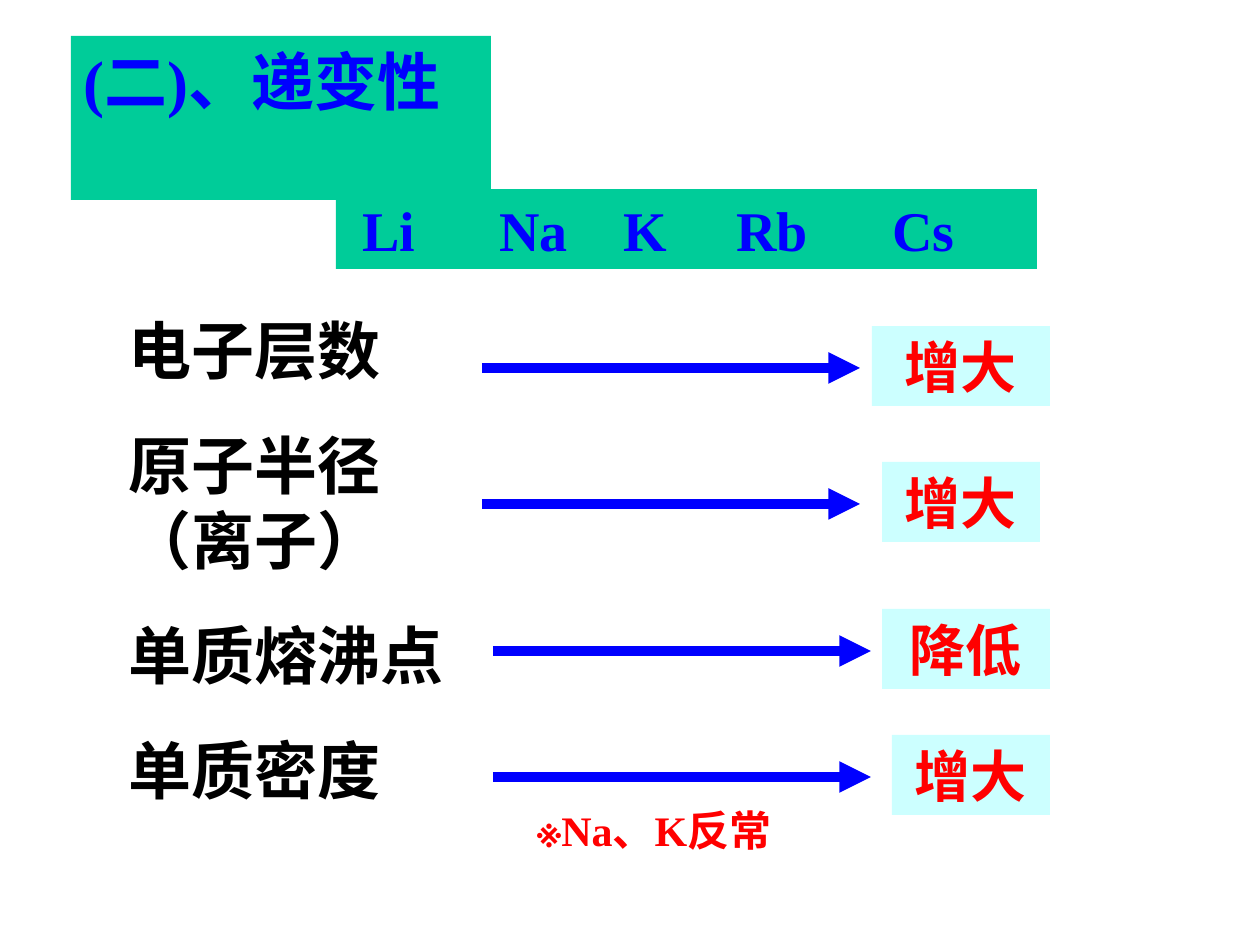
from lxml.etree import SubElement
from pptx import Presentation
from pptx.dml.color import RGBColor as RGB
from pptx.enum.shapes import MSO_CONNECTOR as LINE, MSO_SHAPE as SHAPE
from pptx.enum.text import MSO_ANCHOR as ANCHOR, PP_ALIGN as ALIGN
from pptx.oxml.ns import qn
from pptx.util import Pt

PX = 914400 // 126
FONT = "Times New Roman"
BLUE, RED, BLACK = RGB(0, 0, 255), RGB(255, 0, 0), RGB(0, 0, 0)
GREEN, CYAN, WHITE = RGB(0, 204, 153), RGB(204, 255, 255), RGB(255, 255, 255)

TITLE = "(二)、递变性"
METALS = [("Li", 14), ("Na", 151), ("K", 275), ("Rb", 388), ("Cs", 544)]  # tab stop
LABELS = ["电子层数", "原子半径（离子）", "单质熔沸点", "单质密度"]
NOTE = "※Na、K反常"
# trend, arrow left, arrow y, box left, box width
TRENDS = [
    ("增大", 482, 368, 872, 178),
    ("增大", 482, 504, 882, 158),
    ("降低", 493, 651, 882, 168),
    ("增大", 493, 777, 892, 158),
]
ARROW, TALL, RISE = 378, 80, 42  # arrow length, box height, box top above arrow


def add_box(slide, area, lines, size, color, fill=None, align=ALIGN.LEFT, gap=0, stops=()):
    """Add a text rectangle; gap is the space in points between paragraphs."""
    box = slide.shapes.add_shape(SHAPE.RECTANGLE, *(n * PX for n in area))
    box.shadow.inherit = False
    box.line.fill.background()
    if fill is None:
        box.fill.background()
    else:
        box.fill.solid()
        box.fill.fore_color.rgb = fill
    frame = box.text_frame
    frame.word_wrap = True
    frame.vertical_anchor = ANCHOR.TOP
    for i, text in enumerate(lines):
        para = frame.add_paragraph() if i else frame.paragraphs[0]
        para.text = text
        para.alignment = align
        if i:
            para.space_before = Pt(gap)
        if stops:
            tabs = SubElement(para._p.get_or_add_pPr(), qn("a:tabLst"))
            for stop in stops:
                SubElement(tabs, qn("a:tab"), pos=str(stop * PX), algn="l")
        font = para.font
        font.name, font.size, font.bold = FONT, Pt(size), True
        font.color.rgb = color


def add_arrow(slide, left, y):
    line = slide.shapes.add_connector(
        LINE.STRAIGHT, left * PX, y * PX, (left + ARROW) * PX, y * PX)
    line.line.color.rgb = BLUE
    line.line.width = Pt(6)
    SubElement(line.line._get_or_add_ln(), qn("a:tailEnd"), type="triangle")
    SubElement(line._element.spPr, qn("a:effectLst"))


def main():
    deck = Presentation()
    deck.slide_width, deck.slide_height = 1260 * PX, 945 * PX
    slide = deck.slides.add_slide(deck.slide_layouts[6])

    add_box(slide, (71, 36, 420, 164), [TITLE], 36, BLUE, GREEN)
    names, stops = zip(*METALS)
    row = "".join("\t" + name for name in names)
    add_box(slide, (336, 189, 701, TALL), [row], 32, BLUE, GREEN, stops=stops)
    add_box(slide, (116, 305, 347, 509), LABELS, 36, BLACK, gap=22.5)

    for _, left, y, _, _ in TRENDS:
        add_arrow(slide, left, y)
    for trend, _, y, left, width in TRENDS:
        add_box(slide, (left, y - RISE, width, TALL), [trend], 32, RED, CYAN, ALIGN.CENTER)
    add_box(slide, (525, 798, 294, 113), [NOTE], 24, RED, WHITE)
    deck.save("out.pptx")


if __name__ == "__main__":
    main()
